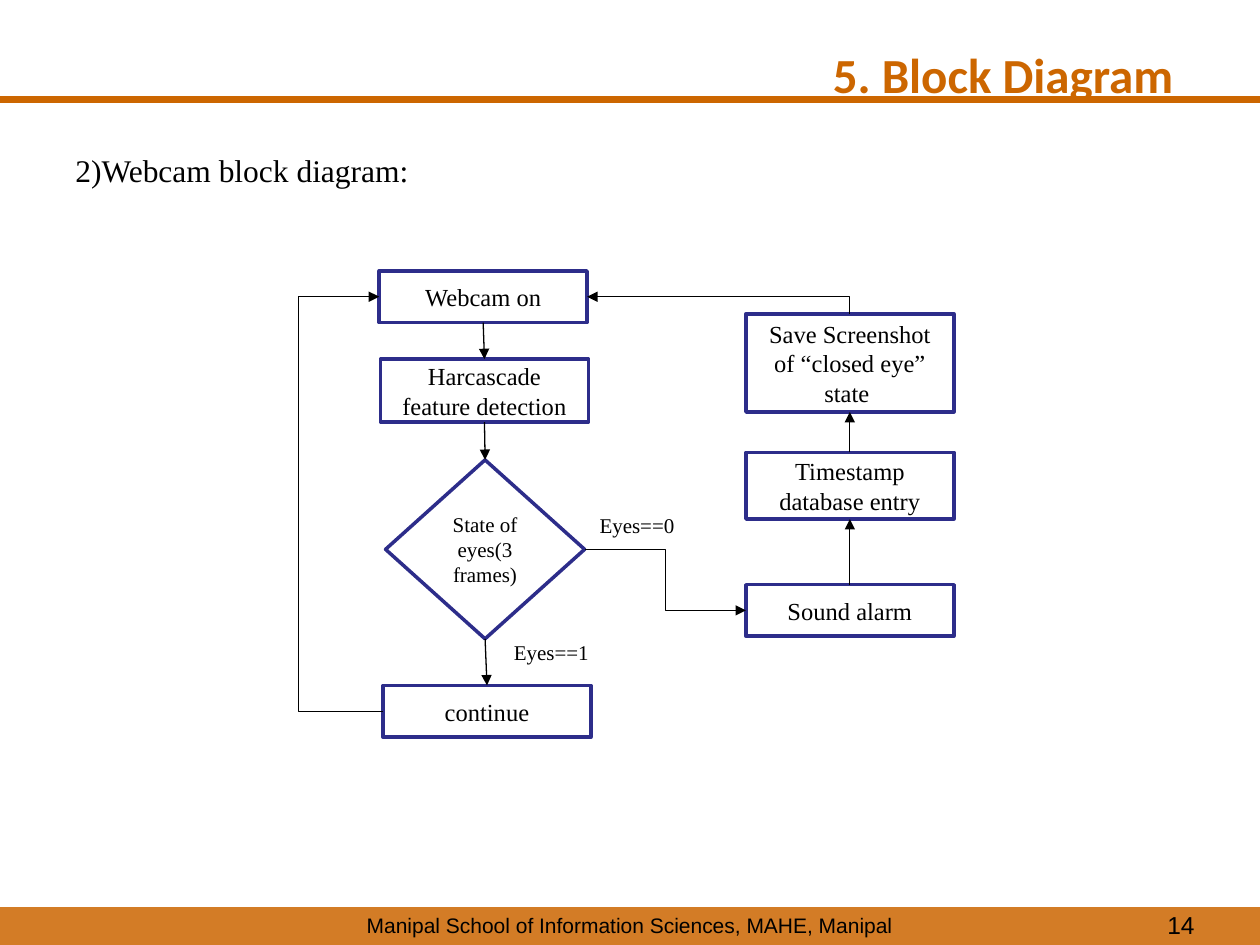
from dataclasses import dataclass

from lxml import etree
from pptx import Presentation
from pptx import util as u
from pptx.dml.color import RGBColor
from pptx.enum import shapes, text
from pptx.oxml.ns import qn

# Grid of 100 columns by 75 rows; every length below is in its cells
COLUMNS, ROWS = 100, 75
CELL = u.Inches(10) // COLUMNS
BOX_WIDTH = 16.5
RIGHT_COLUMN = 59.2
TOP, LEFT, BOTTOM, RIGHT = range(4)  # connection sites of a block


@dataclass(frozen=True)
class Theme:
    accent: RGBColor = RGBColor(0xCC, 0x66, 0x00)
    outline: RGBColor = RGBColor(0x2D, 0x2D, 0x8A)
    ink: RGBColor = RGBColor(0, 0, 0)
    paper: RGBColor = RGBColor(255, 255, 255)
    body_font: str = "Times New Roman"
    footer_font: str = "Arial"
    title_font: str = "Calibri"
    title: int = 28
    subtitle: int = 18
    block: int = 14
    small: int = 12


@dataclass(frozen=True)
class Block:
    label: str
    left: float
    top: float
    height: float
    width: float = BOX_WIDTH
    kind: shapes.MSO_SHAPE = shapes.MSO_SHAPE.RECTANGLE
    size: int = Theme.block


@dataclass(frozen=True)
class Flow:
    source: str
    source_site: int
    target: str
    target_site: int
    bent: bool = False


BLOCKS = {
    "webcam": Block("Webcam on", 30.1, 21.5, 4.1),
    "detection": Block("Harcascade feature detection", 30.2, 28.5, 5),
    "continue": Block("continue", 30.4, 54.4, 4.1),
    "state": Block("State of eyes(3 frames)", 30.6, 36.5, 14.2, 15.8,
                   shapes.MSO_SHAPE.DIAMOND, Theme.small),
    "timestamp": Block("Timestamp database entry", RIGHT_COLUMN, 35.9, 5.3),
    "alarm": Block("Sound alarm", RIGHT_COLUMN, 46.4, 4.1),
    "screenshot": Block("Save Screenshot of “closed eye” state ",
                        RIGHT_COLUMN, 24.9, 7.8),
}
FLOWS = [
    Flow("webcam", BOTTOM, "detection", TOP),
    Flow("detection", BOTTOM, "state", TOP),
    Flow("state", BOTTOM, "continue", TOP),
    Flow("state", RIGHT, "alarm", LEFT, bent=True),
    Flow("alarm", TOP, "timestamp", BOTTOM),
    Flow("timestamp", TOP, "screenshot", BOTTOM),
]
LOOP_COLUMN = 23.7  # where the loop back to the webcam turns


def cells(*lengths: float) -> list[u.Emu]:
    return [u.Emu(round(length * CELL)) for length in lengths]


def write(frame, words: str, size: int, font: str = Theme.body_font,
          color: RGBColor = Theme.ink, align=text.PP_ALIGN.LEFT,
          bold: bool = False) -> None:
    paragraph = frame.paragraphs[0]
    paragraph.alignment = align
    run = paragraph.add_run()
    run.text = words
    run.font.size = u.Pt(size)
    run.font.name = font
    run.font.bold = bold
    run.font.color.rgb = color


def add_label(slide, box: tuple, words: str, size: int, **style) -> None:
    frame = slide.shapes.add_textbox(*cells(*box)).text_frame
    frame.word_wrap = True
    write(frame, words, size, **style)


def add_block(slide, block: Block):
    shape = slide.shapes.add_shape(
        block.kind, *cells(block.left, block.top, block.width, block.height))
    shape.shadow.inherit = False
    shape.fill.solid()
    shape.fill.fore_color.rgb = Theme.paper
    shape.line.color.rgb = Theme.outline
    shape.line.width = u.Pt(2)
    shape.text_frame.word_wrap = True
    shape.text_frame.vertical_anchor = text.MSO_ANCHOR.MIDDLE
    write(shape.text_frame, block.label, block.size,
          align=text.PP_ALIGN.CENTER)
    return shape


def add_line(slide, color: RGBColor, width: float, ends=(0, 0, 0, 0),
             bent: bool = False):
    kind = shapes.MSO_CONNECTOR.ELBOW if bent else shapes.MSO_CONNECTOR.STRAIGHT
    line = slide.shapes.add_connector(kind, *cells(*ends))
    line.line.color.rgb = color
    line.line.width = u.Pt(width)
    etree.SubElement(line._element.spPr, qn("a:effectLst"))
    return line


def add_flow(slide, drawn: dict, flow: Flow, arrow: str = "a:tailEnd"):
    line = add_line(slide, Theme.ink, 0.75, bent=flow.bent)
    line.begin_connect(drawn[flow.source], flow.source_site)
    line.end_connect(drawn[flow.target], flow.target_site)
    etree.SubElement(line.line._get_or_add_ln(), qn(arrow), type="triangle")
    return line


def add_frame(slide) -> None:
    # Header rule, footer band, footer text and page number
    add_line(slide, Theme.accent, 4.5, (0, 7.9, COLUMNS, 7.9))
    band = slide.shapes.add_shape(shapes.MSO_SHAPE.RECTANGLE,
                                  *cells(0, 72, COLUMNS, 3))
    band.shadow.inherit = False
    band.fill.solid()
    band.fill.fore_color.rgb = Theme.accent
    band.line.fill.background()
    tint = band._element.spPr.find(qn("a:solidFill"))[0]
    etree.SubElement(tint, qn("a:alpha"), val="85000")
    add_label(slide, (0, 71.9, COLUMNS, 3),
              "Manipal School of Information Sciences, MAHE, Manipal",
              Theme.small, font=Theme.footer_font, align=text.PP_ALIGN.CENTER)
    add_label(slide, (72.5, 71.7, 23.3, 3.3), "14", Theme.block,
              font=Theme.footer_font, align=text.PP_ALIGN.RIGHT)


def add_title(slide) -> None:
    title = slide.shapes.title
    title.left, title.top, title.width, title.height = cells(5, 3, 90, 12.5)
    frame = title.text_frame
    frame.vertical_anchor = text.MSO_ANCHOR.TOP
    frame.auto_size = text.MSO_AUTO_SIZE.NONE
    frame.margin_right = cells(1.9)[0]
    write(frame, "5. Block Diagram", Theme.title, font=Theme.title_font,
          color=Theme.accent, align=text.PP_ALIGN.RIGHT, bold=True)


def add_diagram(slide) -> None:
    drawn = {key: add_block(slide, block) for key, block in BLOCKS.items()}
    for flow in FLOWS:
        add_flow(slide, drawn, flow)

    # Return from the screenshot: a single corner, arrow at the webcam
    back = add_flow(slide, drawn, Flow("webcam", RIGHT, "screenshot", TOP, True),
                    arrow="a:headEnd")
    back._element.spPr.find(qn("a:prstGeom")).set("prst", "bentConnector2")

    # Loop from continue: the turn lies far outside the connector's own width
    loop = add_flow(slide, drawn, Flow("continue", LEFT, "webcam", LEFT, True))
    turn = (loop.begin_x - cells(LOOP_COLUMN)[0]) / loop.width
    guides = loop._element.spPr.find(qn("a:prstGeom")).find(qn("a:avLst"))
    etree.SubElement(guides, qn("a:gd"), name="adj1",
                     fmla=f"val {round(turn * 100000)}")

    # Branch labels
    add_label(slide, (46.6, 40.2, 8.1, 3), "Eyes==0", Theme.small)
    add_label(slide, (39.8, 50.3, 8.1, 3), "Eyes==1", Theme.small)


def main() -> None:
    deck = Presentation()
    deck.slide_width, deck.slide_height = cells(COLUMNS, ROWS)
    slide = deck.slides.add_slide(deck.slide_layouts[5])
    add_frame(slide)
    add_title(slide)
    add_label(slide, (5, 11.5, 42.8, 4), "2)Webcam block diagram:",
              Theme.subtitle)
    add_diagram(slide)
    deck.save("out.pptx")


if __name__ == "__main__":
    main()
